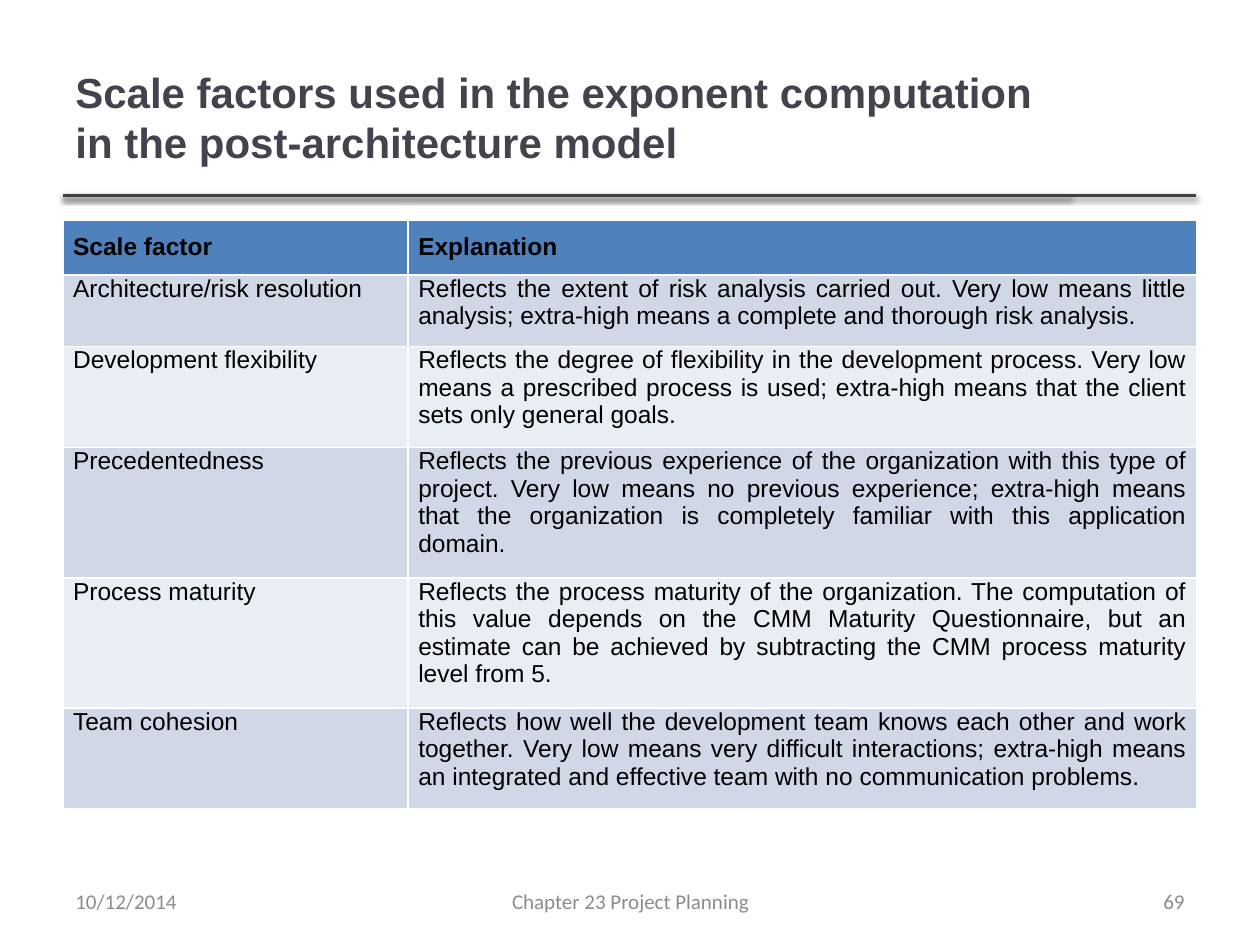
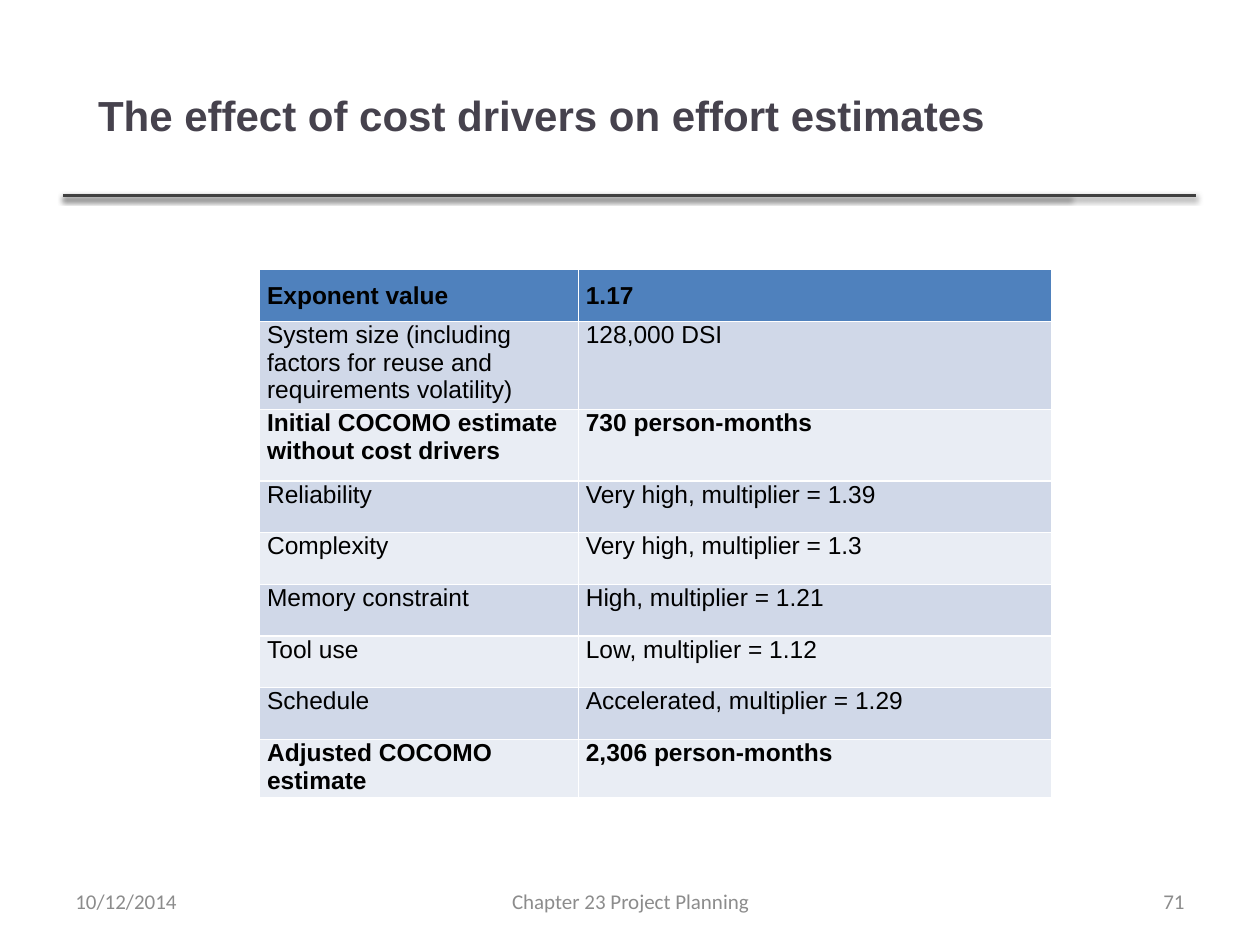
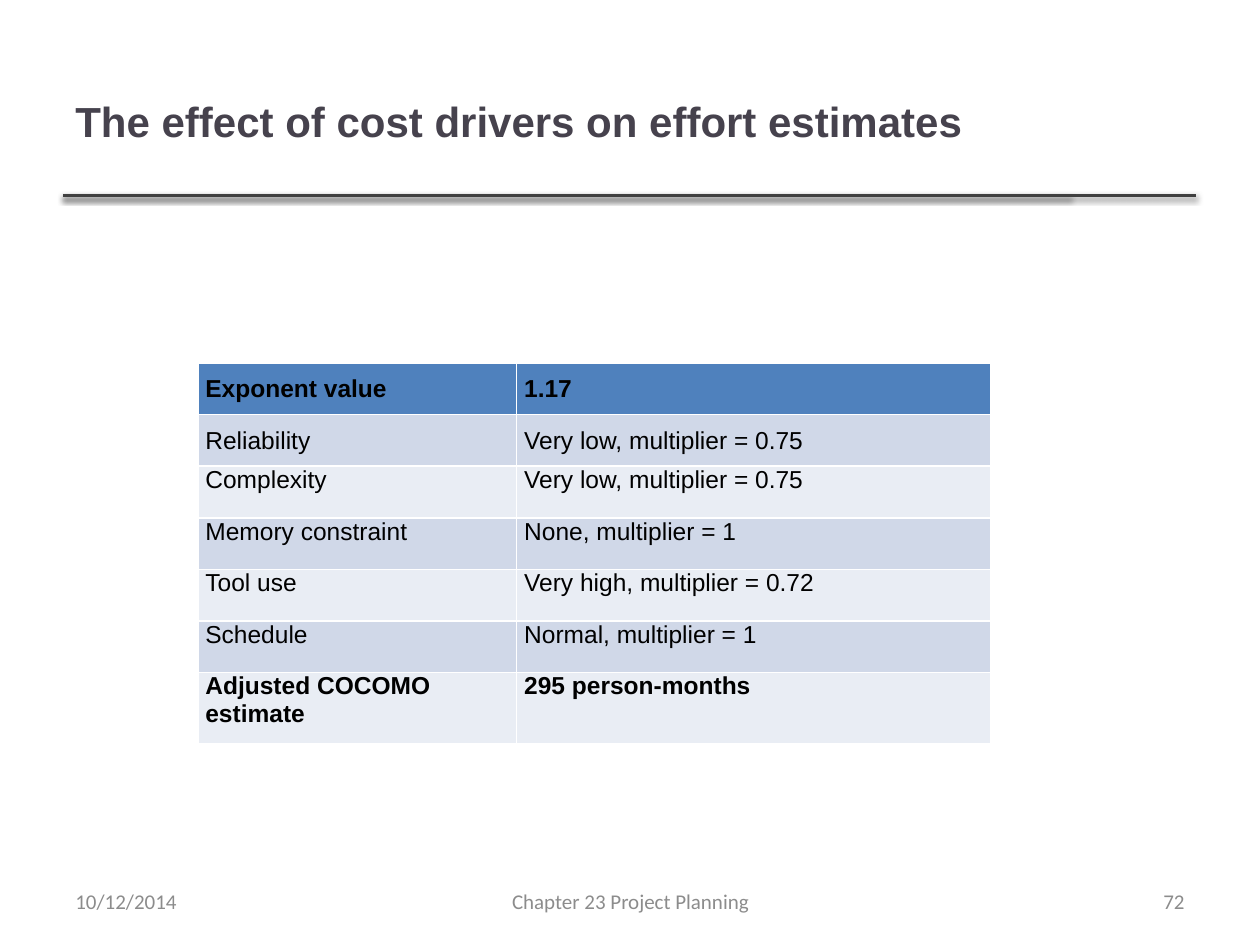
import pptx
import pptx.util
import pptx.dml.color
import pptx.enum.shapes
import pptx.enum.text
import pptx.oxml
import pptx.oxml.ns

Inches, Pt = pptx.util.Inches, pptx.util.Pt
RGBColor = pptx.dml.color.RGBColor
ALIGN = pptx.enum.text.PP_ALIGN
MIDDLE = pptx.enum.text.MSO_ANCHOR.MIDDLE

# Shared look
TITLE_COLOR = RGBColor(0x46, 0x42, 0x4D)
FOOTER_COLOR = RGBColor(0x8C, 0x8C, 0x8C)
RULE_COLOR = RGBColor(0x40, 0x40, 0x40)
BLACK = RGBColor(0, 0, 0)
HEADER_FILL = RGBColor(0x4F, 0x81, 0xBD)
BAND_FILLS = [RGBColor(0xD0, 0xD8, 0xE8), RGBColor(0xE9, 0xED, 0xF4)]
MARGIN, RULE_Y, RULE_ENDS = 0.5, 1.55, (8.49, 9.49)
ROW_HEIGHT, PAD = 0.41, 0.1
FOOTER_Y, FOOTER_HEIGHT = 6.95, 0.4
DATE, CHAPTER = "10/12/2014", "Chapter 23 Project Planning"
SHADOW = (
    '<a:effectLst %s><a:outerShdw blurRad="40000" dist="20000" dir="5400000" rotWithShape="0">'
    '<a:srgbClr val="000000"><a:alpha val="38000"/></a:srgbClr></a:outerShdw></a:effectLst>'
    % pptx.oxml.ns.nsdecls("a"))

# Content: "padded_top" and "padded_bottom" list the rows with extra room,
# "bold" the rows in bold type
SCALE_FACTORS = [
    ("Scale factor", "Explanation"),
    ("Architecture/risk resolution",
     "Reflects the extent of risk analysis carried out. Very low means little analysis; "
     "extra-high means a complete and thorough risk analysis."),
    ("Development flexibility",
     "Reflects the degree of flexibility in the development process. Very low means a "
     "prescribed process is used; extra-high means that the client sets only general goals."),
    ("Precedentedness",
     "Reflects the previous experience of the organization with this type of project. Very "
     "low means no previous experience; extra-high means that the organization is "
     "completely familiar with this application domain."),
    ("Process maturity",
     "Reflects the process maturity of the organization. The computation of this value "
     "depends on the CMM Maturity Questionnaire, but an estimate can be achieved by "
     "subtracting the CMM process maturity level from 5."),
    ("Team cohesion",
     "Reflects how well the development team knows each other and work together. Very low "
     "means very difficult interactions; extra-high means an integrated and effective team "
     "with no communication problems."),
]
HIGH_DRIVERS = [
    ("Exponent value", "1.17"),
    ("System size (including factors for reuse and requirements volatility)", "128,000 DSI"),
    ("Initial COCOMO estimate without cost drivers", "730 person-months"),
    ("Reliability", "Very high, multiplier = 1.39"),
    ("Complexity", "Very high, multiplier = 1.3"),
    ("Memory constraint", "High, multiplier = 1.21"),
    ("Tool use", "Low, multiplier = 1.12"),
    ("Schedule", "Accelerated, multiplier = 1.29"),
    ("Adjusted COCOMO estimate", "2,306 person-months"),
]
LOW_DRIVERS = [
    ("Exponent value", "1.17"),
    ("Reliability", "Very low, multiplier = 0.75"),
    ("Complexity", "Very low, multiplier = 0.75"),
    ("Memory constraint", "None, multiplier = 1"),
    ("Tool use", "Very high, multiplier = 0.72"),
    ("Schedule", "Normal, multiplier = 1"),
    ("Adjusted COCOMO estimate", "295 person-months"),
]
FACTOR_STYLE = dict(cols=(2.74, 6.26), side=0.08, after=0, label_align=ALIGN.JUSTIFY)
DRIVER_STYLE = dict(cols=(2.53, 3.76), side=0.06, after=3, label_align=ALIGN.LEFT)
DRIVERS_TITLE = "The effect of cost drivers on effort estimates"
SLIDES = [
    dict(number=69, title_box=(0.5, 0.3, 7.98, 1.25),
         title="Scale factors used in the exponent computation in the post-architecture model",
         rows=SCALE_FACTORS, at=(0.5, 1.75), style=FACTOR_STYLE,
         bold={0}, padded_top={0}, padded_bottom=set(range(6))),
    dict(number=71, title_box=(0.68, 0.34, 7.67, 1.14), title=DRIVERS_TITLE,
         rows=HIGH_DRIVERS, at=(2.06, 2.14), style=DRIVER_STYLE,
         bold={0, 2, 8}, padded_top={0}, padded_bottom={2}),
    dict(number=72, title_box=(0.5, 0.34, 7.96, 1.23), title=DRIVERS_TITLE,
         rows=LOW_DRIVERS, at=(1.57, 2.88), style=DRIVER_STYLE,
         bold={0, 6}, padded_top={0, 1}, padded_bottom={6}),
]


def write(tf, text, font, size, color, bold=False, align=ALIGN.LEFT):
    p = tf.paragraphs[0]
    p.text, p.alignment = text, align
    p.font.name, p.font.size, p.font.bold = font, Pt(size), bold
    p.font.color.rgb = color
    return p


def add_text(s, box, text, *look, **options):
    tf = s.shapes.add_textbox(*map(Inches, box)).text_frame
    tf.word_wrap, tf.vertical_anchor = True, MIDDLE
    write(tf, text, *look, **options)


def add_frame(s, title, title_box, number):
    # Shadowed double rule below the title
    for end in RULE_ENDS:
        rule = s.shapes.add_connector(
            pptx.enum.shapes.MSO_CONNECTOR.STRAIGHT,
            Inches(MARGIN), Inches(RULE_Y), Inches(end), Inches(RULE_Y))
        rule.line.color.rgb, rule.line.width = RULE_COLOR, Pt(2)
        rule._element.spPr.append(pptx.oxml.parse_xml(SHADOW))
    add_text(s, title_box, title, "Arial", 24, TITLE_COLOR, bold=True)
    # Footer: date, chapter, slide number
    for left, width, text, align in [(MARGIN, 2.33, DATE, ALIGN.LEFT),
                                     (3.42, 3.17, CHAPTER, ALIGN.CENTER),
                                     (7.17, 2.33, str(number), ALIGN.RIGHT)]:
        add_text(s, (left, FOOTER_Y, width, FOOTER_HEIGHT), text,
                 "Calibri", 12, FOOTER_COLOR, align=align)


def add_grid(s, rows, at, style, bold, padded_top, padded_bottom):
    cols = style["cols"]
    size = (sum(cols), ROW_HEIGHT * len(rows))
    table = s.shapes.add_table(len(rows), len(cols), *map(Inches, at + size)).table
    for column, width in zip(table.columns, cols):
        column.width = Inches(width)
    for i, row in enumerate(rows):
        for j, text in enumerate(row):
            cell = table.cell(i, j)
            cell.fill.solid()
            cell.fill.fore_color.rgb = BAND_FILLS[(i - 1) % 2] if i else HEADER_FILL
            cell.margin_left = cell.margin_right = Inches(style["side"])
            cell.margin_top = Inches(PAD if i in padded_top else 0)
            cell.margin_bottom = Inches(PAD if i in padded_bottom else 0)
            p = write(cell.text_frame, text, "Arial", 14, BLACK, bold=i in bold,
                      align=ALIGN.JUSTIFY if j else style["label_align"])
            p.space_after = Pt(style["after"])


prs = pptx.Presentation()
prs.slide_width, prs.slide_height = Inches(10), Inches(7.5)
for page in SLIDES:
    s = prs.slides.add_slide(prs.slide_layouts[6])
    add_frame(s, page["title"], page["title_box"], page["number"])
    add_grid(s, page["rows"], page["at"], page["style"],
             page["bold"], page["padded_top"], page["padded_bottom"])
prs.save("out.pptx")
